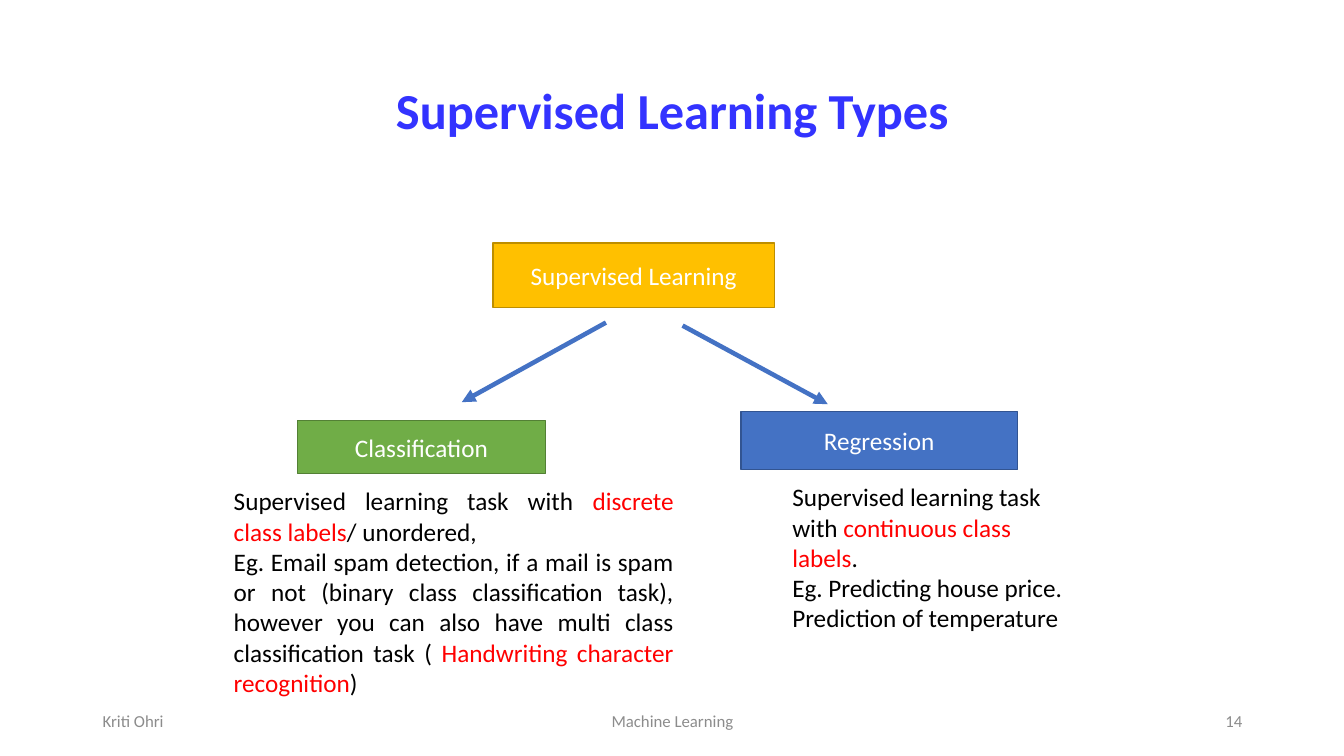
"""Build a slide showing the two types of supervised learning."""
from dataclasses import dataclass

from lxml import etree
from pptx import Presentation
from pptx.dml.color import RGBColor
from pptx.enum.shapes import MSO_CONNECTOR, MSO_SHAPE
from pptx.enum.text import MSO_ANCHOR, PP_ALIGN
from pptx.oxml.ns import qn
from pptx.slide import Slide
from pptx.text.text import TextFrame
from pptx.util import Emu, Pt

LEFT, CENTER, RIGHT, JUSTIFY = PP_ALIGN.LEFT, PP_ALIGN.CENTER, PP_ALIGN.RIGHT, PP_ALIGN.JUSTIFY
TOP, MIDDLE = MSO_ANCHOR.TOP, MSO_ANCHOR.MIDDLE
RECTANGLE, STRAIGHT = MSO_SHAPE.RECTANGLE, MSO_CONNECTOR.STRAIGHT

EMU_PER_PX = 9144
FONT = "Calibri"
COLORS = {
    "title": "3333FF",
    "text": "000000",
    "highlight": "FF0000",
    "footer": "8C8C8C",
    "white": "FFFFFF",
    "gold": "FFC000",
    "gold_line": "BD8E00",
    "green": "70AD47",
    "green_line": "538035",
    "blue": "4472C4",
    "blue_line": "325491",
}

Run = tuple[str, str]
Area = tuple[int, int, int, int]
Point = tuple[int, int]


@dataclass(frozen=True)
class TextBlock:
    area: Area
    paragraphs: list[list[Run]]
    size: int = 18
    align: PP_ALIGN = LEFT
    anchor: MSO_ANCHOR = TOP
    bold: bool = False
    line_spacing: float = 1.0


@dataclass(frozen=True)
class Node:
    area: Area
    label: str
    color: str


@dataclass(frozen=True)
class Arrow:
    start: Point
    end: Point


TEXT_BLOCKS = [
    TextBlock((92, 40, 1150, 145), [[("Supervised Learning Types", "title")]],
              36, CENTER, MIDDLE, True, 0.9),
    TextBlock((776, 473, 300, 192), [
        [("Supervised learning task with ", "text"),
         ("continuous class labels", "highlight"), (".", "text")],
        [("Eg. Predicting house price.", "text")],
        [("Prediction of temperature", "text")],
    ]),
    TextBlock((222, 477, 456, 252), [
        [("Supervised learning task with ", "text"),
         ("discrete class labels", "highlight"), ("/ unordered,", "text")],
        [("Eg. Email spam detection, if a mail is spam or not (binary class "
          "classification task), however you can also have multi class "
          "classification task ( ", "text"),
         ("Handwriting character recognition", "highlight"), (")", "text")],
    ], align=JUSTIFY),
    TextBlock((92, 695, 300, 40), [[("Kriti Ohri", "footer")]], 12, LEFT, MIDDLE),
    TextBlock((442, 695, 450, 40), [[("Machine Learning", "footer")]], 12, CENTER, MIDDLE),
    TextBlock((942, 695, 300, 40), [[("14", "footer")]], 12, RIGHT, MIDDLE),
]
NODES = [
    Node((489, 241, 279, 64), "Supervised Learning", "gold"),
    Node((295, 417, 246, 53), "Classification", "green"),
    Node((735, 408, 274, 58), "Regression", "blue"),
]
ARROWS = [Arrow((601, 320), (458, 399)), Arrow((677, 323), (821, 401))]


def px(*lengths: int) -> list[Emu]:
    return [Emu(length * EMU_PER_PX) for length in lengths]


def rgb(name: str) -> RGBColor:
    return RGBColor.from_string(COLORS[name])


def write_text(frame: TextFrame, block: TextBlock) -> None:
    frame.word_wrap = True
    frame.vertical_anchor = block.anchor
    for index, runs in enumerate(block.paragraphs):
        paragraph = frame.add_paragraph() if index else frame.paragraphs[0]
        paragraph.alignment = block.align
        paragraph.line_spacing = block.line_spacing
        paragraph.font.name = FONT
        paragraph.font.size = Pt(block.size)
        paragraph.font.bold = block.bold
        for text, color in runs:
            run = paragraph.add_run()
            run.text = text
            run.font.color.rgb = rgb(color)


def add_text(slide: Slide, block: TextBlock) -> None:
    write_text(slide.shapes.add_textbox(*px(*block.area)).text_frame, block)


def add_node(slide: Slide, node: Node) -> None:
    shape = slide.shapes.add_shape(RECTANGLE, *px(*node.area))
    shape.shadow.inherit = False
    shape.fill.solid()
    shape.fill.fore_color.rgb = rgb(node.color)
    shape.line.color.rgb = rgb(f"{node.color}_line")
    shape.line.width = Pt(1)
    label = TextBlock(node.area, [[(node.label, "white")]], align=CENTER, anchor=MIDDLE)
    write_text(shape.text_frame, label)


def add_arrow(slide: Slide, arrow: Arrow) -> None:
    connector = slide.shapes.add_connector(STRAIGHT, *px(*arrow.start, *arrow.end))
    connector.line.color.rgb = rgb("blue")
    connector.line.width = Pt(3.25)
    etree.SubElement(connector.line._get_or_add_ln(), qn("a:tailEnd"), type="triangle")
    etree.SubElement(connector._element.spPr, qn("a:effectLst"))


def main() -> None:
    presentation = Presentation()
    presentation.slide_width, presentation.slide_height = px(1333, 750)
    slide = presentation.slides.add_slide(presentation.slide_layouts[6])
    for node in NODES:
        add_node(slide, node)
    for arrow in ARROWS:
        add_arrow(slide, arrow)
    for block in TEXT_BLOCKS:
        add_text(slide, block)
    presentation.save("out.pptx")


if __name__ == "__main__":
    main()
